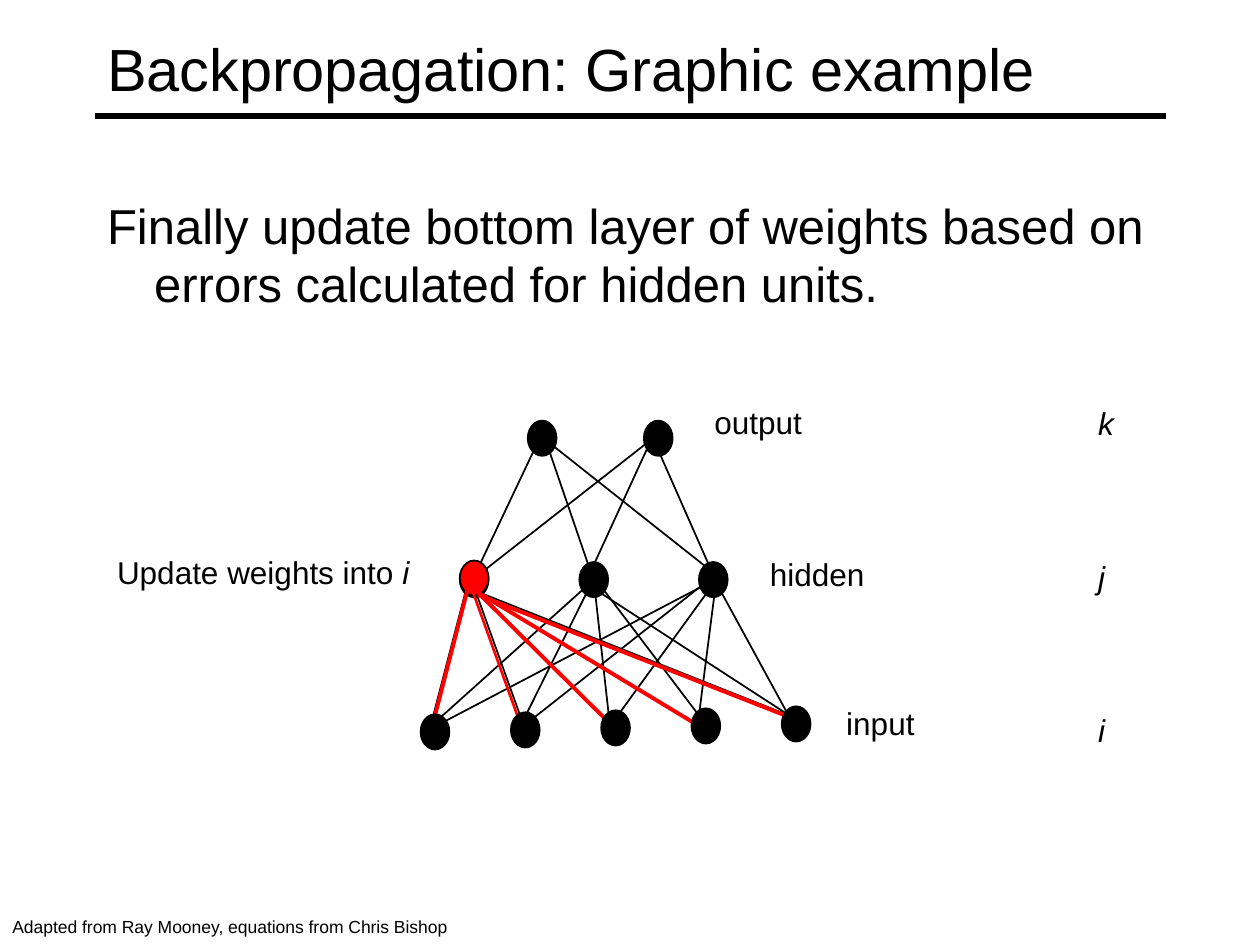
"""Build a slide on updating the bottom layer of weights in backpropagation."""
from lxml import etree
from pptx import Presentation
from pptx import util as u
from pptx.dml.color import RGBColor
from pptx.enum import shapes, text
from pptx.oxml.ns import qn

BLACK, RED = "000000", "FF0000"

OUTPUT_EDGES = [
    (10.9, 8.79, 9.53, 11.68), (10.97, 8.79, 11.96, 11.68), (10.9, 8.79, 14.4, 11.56),
    (13.13, 8.86, 9.53, 11.68), (13.13, 8.86, 11.89, 11.56), (13.21, 8.94, 14.33, 11.48),
]
HIDDEN_EDGES = [
    (9.45, 11.68, 8.66, 14.71), (9.53, 11.76, 10.57, 14.66), (9.53, 11.84, 12.22, 14.5),
    (9.53, 11.89, 14.2, 14.71), (9.53, 11.89, 16.1, 14.5),
    (11.89, 11.76, 8.66, 14.66), (11.96, 11.68, 10.52, 14.58), (11.96, 11.61, 12.29, 14.58),
    (12.01, 11.68, 14.27, 14.66), (12.01, 11.89, 16.03, 14.5),
    (14.27, 11.76, 8.74, 14.66), (14.2, 11.76, 10.52, 14.66), (14.33, 11.84, 12.34, 14.58),
    (14.45, 11.61, 14.07, 14.58), (14.4, 11.68, 15.9, 14.43),
]
UPDATED_EDGES = [
    (9.47, 11.71, 8.69, 14.73, 2.25), (9.5, 11.84, 10.54, 14.73, 1.5),
    (9.68, 11.99, 12.37, 14.66, 2.25), (9.63, 11.94, 14.3, 14.76, 2.25),
    (9.63, 11.99, 16.23, 14.58, 2.25),
]
LAYER_LABELS = [
    ("output", (14.15, 8, 2.31, 1.09)),
    ("hidden", (15.27, 11.07, 2.41, 1.12)),
    ("input", (16.81, 14.07, 1.96, 1.09)),
]


def color(value):
    return RGBColor.from_string(value)


def write(paragraph, words, size=18, italic=False, font="Arial", ink=BLACK):
    run = paragraph.add_run()
    run.text = words
    run.font.name = font
    run.font.size = u.Pt(size)
    run.font.italic = italic
    run.font.color.rgb = color(ink)


class NetworkSlide:
    def __init__(self, slide):
        self.slide = slide
        self.node_size = u.Cm(0.58), u.Cm(0.71)

    def frame(self, box, wrap=False, anchor=text.MSO_ANCHOR.TOP):
        frame = self.slide.shapes.add_textbox(*map(u.Cm, box)).text_frame
        frame.word_wrap = wrap
        frame.vertical_anchor = anchor
        frame.auto_size = text.MSO_AUTO_SIZE.NONE if wrap else text.MSO_AUTO_SIZE.SHAPE_TO_FIT_TEXT
        return frame

    def label(self, words, box, size=18, **layout):
        paragraph = self.frame(box, **layout).paragraphs[0]
        write(paragraph, words, size)
        return paragraph

    def line(self, x1, y1, x2, y2, width=1, ink=BLACK):
        line = self.slide.shapes.add_connector(
            shapes.MSO_CONNECTOR.STRAIGHT, *map(u.Cm, (x1, y1, x2, y2)))
        line.line.width = u.Pt(width)
        line.line.color.rgb = color(ink)
        etree.SubElement(line._element.spPr, qn("a:effectLst"))

    def node(self, left, top, fill=BLACK):
        node = self.slide.shapes.add_shape(
            shapes.MSO_SHAPE.OVAL, u.Cm(left), u.Cm(top), *self.node_size)
        node.shadow.inherit = False
        node.fill.solid()
        node.fill.fore_color.rgb = color(fill)
        node.line.color.rgb = color(BLACK)
        node.line.width = u.Pt(1)


def main():
    deck = Presentation()
    deck.slide_width, deck.slide_height = u.Cm(25.4), u.Cm(19.05)
    network = NetworkSlide(deck.slides.add_slide(deck.slide_layouts[6]))

    network.line(1.91, 2.34, 23.5, 2.34, width=3)
    network.label("Backpropagation: Graphic example", (1.91, 0.2, 21.59, 2.34),
                  size=34, wrap=True, anchor=text.MSO_ANCHOR.MIDDLE)
    message = network.label(
        "Finally update bottom layer of weights based on errors calculated for hidden units.",
        (1.91, 3.81, 21.59, 3.1), size=28, wrap=True)
    hanging = message._p.get_or_add_pPr()
    hanging.set("marL", str(u.Cm(0.95)))
    hanging.set("indent", str(u.Cm(-0.95)))

    for edge in OUTPUT_EDGES + HIDDEN_EDGES:
        network.line(*edge)
    for left in (10.64, 12.98):
        network.node(left, 8.48)
    for unit in range(3):
        network.node(9.27 + 2.41 * unit, 11.33)
    network.node(9.27, 11.3, fill=RED)
    for edge in UPDATED_EDGES:
        network.line(*edge, ink=RED)
    for unit in range(5):
        network.node(8.48 + 1.82 * unit, 14.4 - 0.04 * unit)

    for layer, box in LAYER_LABELS:
        network.label(layer, box)
    update = network.label("Update weights into ", (2.11, 11.02, 6.45, 1.04))
    write(update, "i", italic=True)

    indices = network.frame((21.89, 8.03, 0.84, 7.19))
    for position, index in enumerate("kji"):
        paragraph = indices.add_paragraph() if position else indices.paragraphs[0]
        if position:
            paragraph.space_before = u.Pt(66)
        write(paragraph, index, italic=True)

    network.label("Adapted from Ray Mooney, equations from Chris Bishop",
                  (0, 18.34, 9.37, 0.69), size=10)
    deck.save("out.pptx")


if __name__ == "__main__":
    main()
